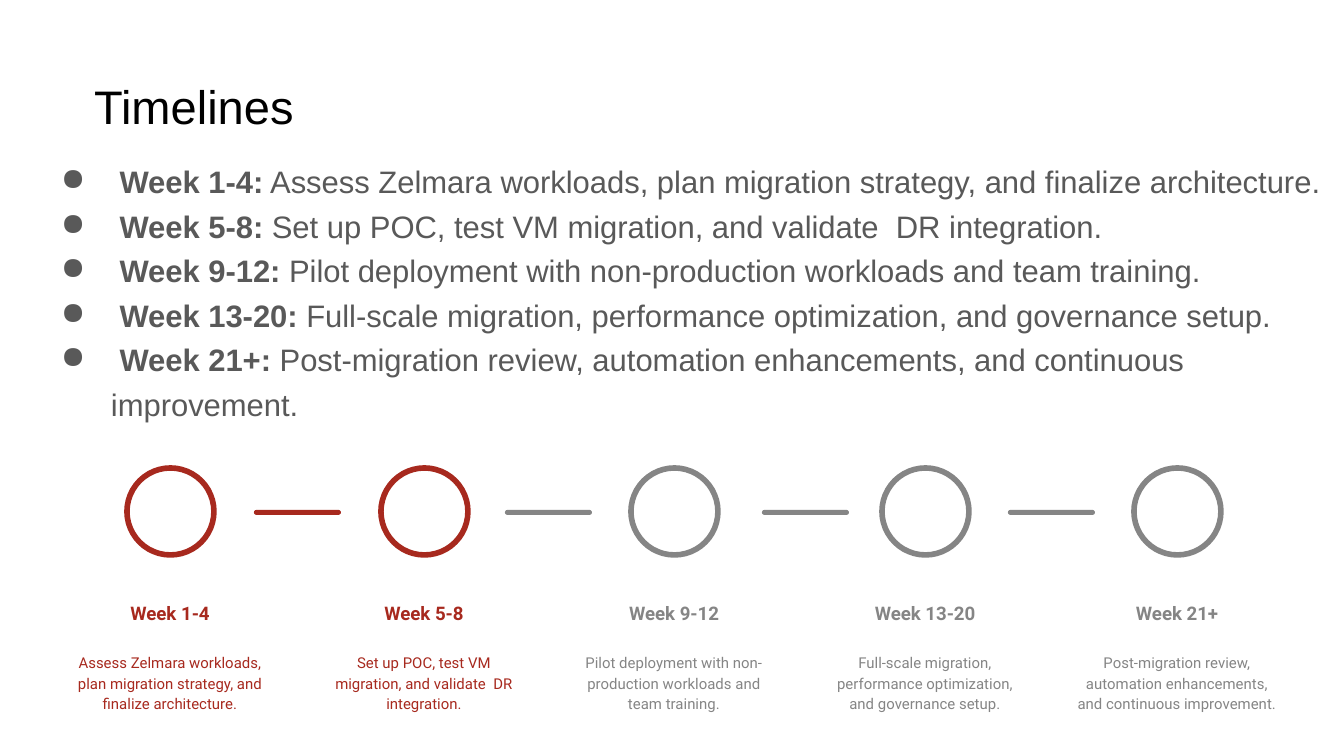
"""Build a project timeline slide with bulleted phases and a five-step track."""
from lxml import etree
from pptx import Presentation
from pptx.dml.color import RGBColor
from pptx.enum.shapes import MSO_SHAPE
from pptx.enum.text import MSO_ANCHOR, PP_ALIGN
from pptx.oxml.ns import qn
from pptx.util import Pt

OVAL = MSO_SHAPE.OVAL
ROUNDED = MSO_SHAPE.ROUNDED_RECTANGLE
CENTER, LEFT = PP_ALIGN.CENTER, PP_ALIGN.LEFT
TOP, BOTTOM = MSO_ANCHOR.TOP, MSO_ANCHOR.BOTTOM

EMU_PER_PX = 914400 / 134.4
COLORS = {"active": "A7291E", "pending": "858585", "title": "000000", "body": "595959"}

PHASES = [
    ("Week 1-4", "Assess Zelmara workloads, plan migration strategy, and finalize architecture."),
    ("Week 5-8", "Set up POC, test VM migration, and validate  DR integration."),
    ("Week 9-12", "Pilot deployment with non-production workloads and team training."),
    ("Week 13-20", "Full-scale migration, performance optimization, and governance setup."),
    ("Week 21+", "Post-migration review, automation enhancements, and continuous improvement."),
]
STEPS = [(170, 232, "active"), (424, 226, "active"), (674, 226, "pending"),
         (925, 226, "pending"), (1177, 226, "pending")]
LINKS = [(254, "active"), (505, "pending"), (762, "pending"), (1008, "pending")]
RING = 87


def px(n):
    return round(n * EMU_PER_PX)


def rgb(name):
    return RGBColor.from_string(COLORS[name])


class Deck:
    def __init__(self, width, height):
        self.prs = Presentation()
        self.prs.slide_width, self.prs.slide_height = px(width), px(height)
        self.s = self.prs.slides.add_slide(self.prs.slide_layouts[6])

    def font(self, r, size, color, name="Arial", bold=False):
        r.font.size, r.font.name, r.font.bold = Pt(size), name, bold
        r.font.color.rgb = rgb(color)

    def frame(self, box, anchor=TOP, parent=None):
        sp = (parent or self.s).shapes.add_textbox(*map(px, box))
        tf = sp.text_frame
        tf.word_wrap = True
        tf.vertical_anchor = anchor
        tf.margin_left = tf.margin_right = tf.margin_top = tf.margin_bottom = px(13)
        return tf

    def text(self, box, text, size, color, name="Arial", bold=False, align=LEFT,
             anchor=TOP, spacing=1.0, parent=None):
        p = self.frame(box, anchor, parent).paragraphs[0]
        p.text, p.alignment, p.line_spacing = text, align, spacing
        self.font(p.runs[0], size, color, name, bold)

    def bullets(self, box, items, size, color):
        tf = self.frame(box)
        for i, (label, detail) in enumerate(items):
            p = tf.add_paragraph() if i else tf.paragraphs[0]
            p.text = f" {label}:"
            p.line_spacing = 1.2
            p.add_run().text = f" {detail}"
            for r, bold in zip(p.runs, (True, False)):
                self.font(r, size, color, bold=bold)
            pPr = p._p.get_or_add_pPr()
            pPr.set("marL", str(px(67)))
            pPr.set("indent", str(px(-50)))
            clr = etree.SubElement(pPr, qn("a:buClr"))
            etree.SubElement(clr, qn("a:srgbClr")).set("val", COLORS[color])
            etree.SubElement(pPr, qn("a:buChar")).set("char", "●")

    def ring(self, box, color, parent):
        sp = parent.shapes.add_shape(OVAL, *map(px, box))
        sp.shadow.inherit = False
        sp.fill.background()
        sp.line.color.rgb, sp.line.width = rgb(color), Pt(3)

    def bar(self, box, color):
        sp = self.s.shapes.add_shape(ROUNDED, *map(px, box))
        sp.shadow.inherit = False
        sp.adjustments[0] = 0.5
        sp.fill.solid()
        sp.fill.fore_color.rgb = rgb(color)
        sp.line.fill.background()

    def step(self, center, width, color, label, detail):
        group = self.s.shapes.add_group_shape()
        left = center - width // 2
        self.ring((center - RING // 2, 468, RING, RING), color, group)
        self.text((left, 571, width, 66), label, 10, color, "Roboto", True,
                  CENTER, BOTTOM, 1.15, group)
        self.text((left, 638, width, 109), detail, 8, color, "Roboto",
                  align=CENTER, spacing=1.15, parent=group)


def main():
    deck = Deck(1344, 756)
    for left, color in LINKS:
        deck.bar((left, 510, RING, 5), color)
    for step, phase in zip(STEPS, PHASES):
        deck.step(*step, *phase)
    deck.text((81, 65, 1263, 84), "Timelines", 25.2, "title")
    deck.bullets((31, 142, 1313, 304), PHASES, 16.6, "body")
    deck.prs.save("out.pptx")


if __name__ == "__main__":
    main()
